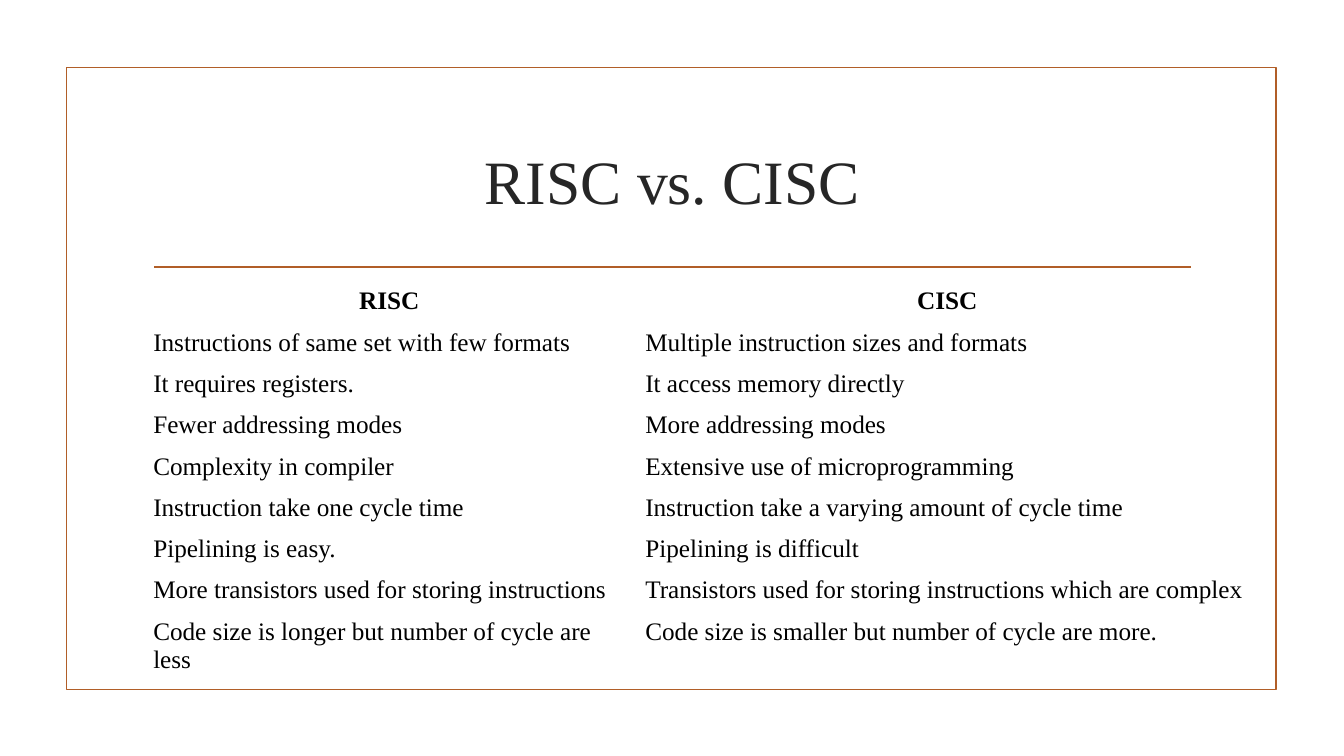
from dataclasses import dataclass

from pptx import Presentation
from pptx.dml.color import RGBColor
from pptx.enum.shapes import MSO_CONNECTOR, MSO_SHAPE
from pptx.enum.text import MSO_ANCHOR, PP_ALIGN
from pptx.oxml.ns import qn
from pptx.util import Inches, Pt
from lxml.etree import SubElement


@dataclass(frozen=True)
class Theme:
    font: str = "Times New Roman"
    accent: RGBColor = RGBColor(0xB1, 0x5E, 0x28)
    title: RGBColor = RGBColor(0x26, 0x26, 0x26)
    text: RGBColor = RGBColor(0, 0, 0)
    title_size: Pt = Pt(44)
    body_size: Pt = Pt(18)
    line_width: Pt = Pt(1.25)


ROWS = [
    ("RISC", "CISC"),
    ("Instructions of same set with few formats", "Multiple instruction sizes and formats"),
    ("It requires registers.", "It access memory directly"),
    ("Fewer addressing modes", "More addressing modes"),
    ("Complexity in compiler", "Extensive use of microprogramming"),
    ("Instruction take one cycle time", "Instruction take a varying amount of cycle time"),
    ("Pipelining is easy.", "Pipelining is difficult"),
    ("More transistors used for storing instructions",
     "Transistors used for storing instructions which are complex"),
    ("Code size is longer but number of cycle are less",
     "Code size is smaller but number of cycle are more."),
]


class SlideBuilder:
    def __init__(self, slide, theme):
        self.s = slide
        self.theme = theme

    def outline(self, line):
        line.color.rgb = self.theme.accent
        line.width = self.theme.line_width

    def set_text(self, tf, text, size, color, bold=False, align=PP_ALIGN.LEFT):
        p = tf.paragraphs[0]
        p.text = text
        p.alignment = align
        p.font.name = self.theme.font
        p.font.size = size
        p.font.bold = bold
        p.font.color.rgb = color

    def frame(self, x, y, w, h):
        sp = self.s.shapes.add_shape(
            MSO_SHAPE.RECTANGLE, Inches(x), Inches(y), Inches(w), Inches(h))
        sp.shadow.inherit = False
        sp.fill.background()
        self.outline(sp.line)

    def rule(self, x1, x2, y):
        cn = self.s.shapes.add_connector(
            MSO_CONNECTOR.STRAIGHT, Inches(x1), Inches(y), Inches(x2), Inches(y))
        self.outline(cn.line)
        SubElement(cn._element.spPr, qn("a:effectLst"))

    def title(self, text, x, y, w, h):
        tf = self.s.shapes.add_textbox(Inches(x), Inches(y), Inches(w), Inches(h)).text_frame
        tf.word_wrap = True
        tf.vertical_anchor = MSO_ANCHOR.MIDDLE
        self.set_text(tf, text, self.theme.title_size, self.theme.title, align=PP_ALIGN.CENTER)

    def table(self, rows, x, y, widths, row_height):
        table = self.s.shapes.add_table(
            len(rows), len(widths), Inches(x), Inches(y),
            Inches(sum(widths)), Inches(row_height * len(rows))).table
        table.horz_banding = False
        table.first_row = False
        for column, width in zip(table.columns, widths):
            column.width = Inches(width)
        for i, row in enumerate(rows):
            header = i == 0
            for j, text in enumerate(row):
                cell = table.cell(i, j)
                cell.fill.background()
                self.set_text(cell.text_frame, text, self.theme.body_size, self.theme.text,
                              header, PP_ALIGN.CENTER if header else PP_ALIGN.LEFT)


def main():
    prs = Presentation()
    prs.slide_width = Inches(13.33)
    prs.slide_height = Inches(7.5)
    b = SlideBuilder(prs.slides.add_slide(prs.slide_layouts[6]), Theme())
    b.frame(0.66, 0.67, 12, 6.17)
    b.rule(1.53, 11.81, 2.65)
    b.title("RISC vs. CISC", 1.42, 1.07, 10.5, 1.43)
    b.table(ROWS, 1.42, 2.8, (4.88, 6.19), 0.41)
    prs.save("out.pptx")


if __name__ == "__main__":
    main()
